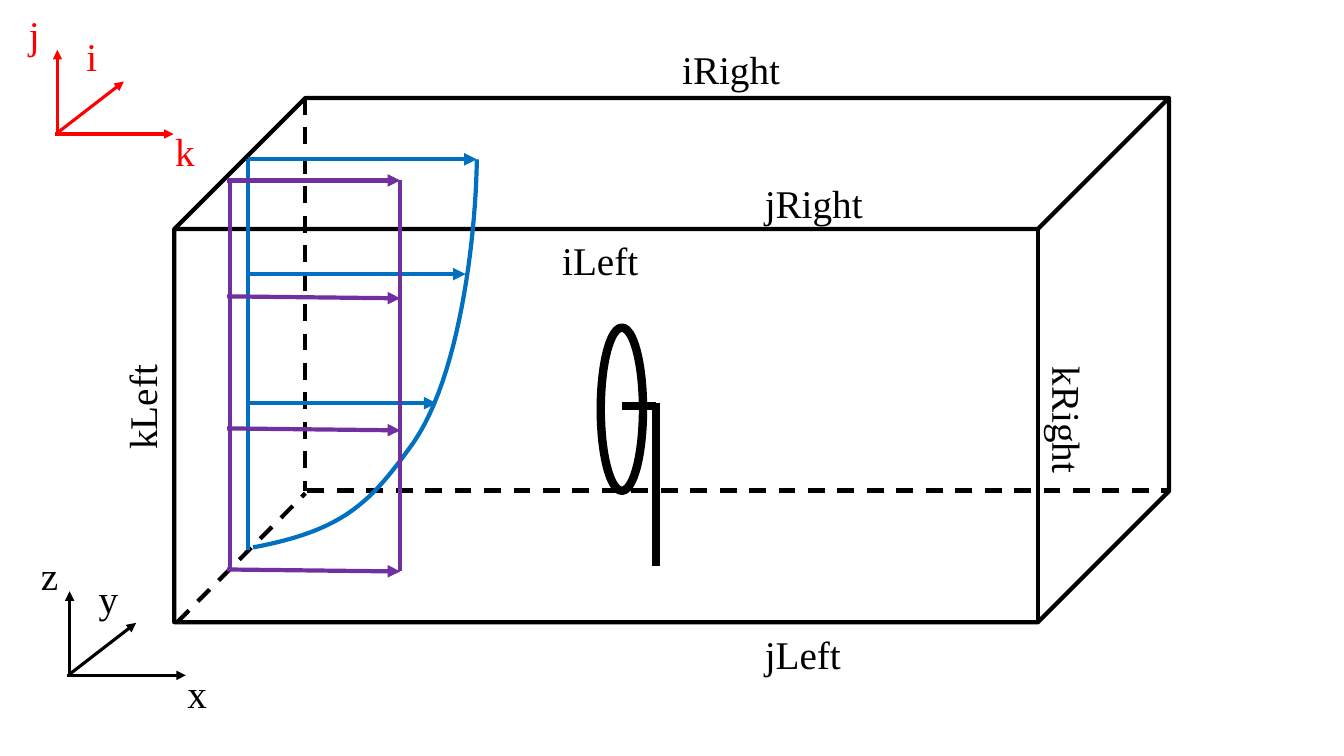
import pptx
import pptx.util
import pptx.dml.color
import pptx.enum.dml
import pptx.enum.shapes
import pptx.enum.text
import pptx.oxml
import pptx.oxml.ns

Pt = pptx.util.Pt
RGBColor = pptx.dml.color.RGBColor
MSO_SHAPE = pptx.enum.shapes.MSO_SHAPE

BLACK = RGBColor(0x00, 0x00, 0x00)
RED = RGBColor(0xFF, 0x00, 0x00)
BLUE = RGBColor(0x00, 0x70, 0xC0)
PURPLE = RGBColor(0x70, 0x30, 0xA0)
FONT = "Times New Roman"
LABEL_H = 41


def label(slide, text, x, y, w, color=BLACK, size=28, turn=0):
    box = slide.shapes.add_textbox(Pt(x), Pt(y), Pt(w), Pt(LABEL_H))
    box.rotation = turn
    frame = box.text_frame
    frame.word_wrap = False
    frame.auto_size = pptx.enum.text.MSO_AUTO_SIZE.SHAPE_TO_FIT_TEXT
    run = frame.paragraphs[0].add_run()
    run.text = text
    run.font.name = FONT
    run.font.size = Pt(size)
    run.font.color.rgb = color


def line(slide, x1, y1, x2, y2, color=BLACK, width=3, dash=False, arrow=False):
    link = slide.shapes.add_connector(
        pptx.enum.shapes.MSO_CONNECTOR.STRAIGHT, Pt(x1), Pt(y1), Pt(x2), Pt(y2))
    link.line.color.rgb = color
    link.line.width = Pt(width)
    if dash:
        link.line.dash_style = pptx.enum.dml.MSO_LINE.DASH
    if arrow:
        tail = pptx.oxml.parse_xml(
            f'<a:tailEnd {pptx.oxml.ns.nsdecls("a")} type="triangle"/>')
        link.line._get_or_add_ln().append(tail)
    link._element.spPr.append(
        pptx.oxml.parse_xml(f'<a:effectLst {pptx.oxml.ns.nsdecls("a")}/>'))


def outline(shape, width, color=BLACK):
    shape.shadow.inherit = False
    shape.fill.background()
    shape.line.color.rgb = color
    shape.line.width = Pt(width)


def bezier(a, b, c, d, steps=24):
    """Points along a cubic curve, after its start."""
    for i in range(1, steps + 1):
        t = i / steps
        s = 1 - t
        yield tuple(s**3 * p + 3 * s * s * t * q + 3 * s * t * t * r + t**3 * e
                    for p, q, r, e in zip(a, b, c, d))


def axes(slide, x, y, names, color):
    """Three arrows from the origin x, y; names are (text, width)."""
    for x1, y1, x2, y2 in ((0, 0, 0, -60), (-1.5, 0, 83, 0), (0, -0.8, 47.5, -37.5)):
        line(slide, x + x1, y + y1, x + x2, y + y2, color, 2.25, arrow=True)
    spots = (77, -8), (-27.5, -92), (13.7, -76)
    for (text, w), (dx, dy) in zip(names, spots):
        label(slide, text, x + dx, y + dy, w, color)


def domain(slide, x, y, w, h):
    """Box with hidden edges and face names."""
    outline(slide.shapes.add_shape(MSO_SHAPE.CUBE, Pt(x), Pt(y), Pt(w), Pt(h)), 3)
    depth = h / 4
    back, floor = x + depth, y + h - depth
    line(slide, back, y, back, floor, dash=True)
    line(slide, x + 2, y + h, back, floor + 1.5, dash=True)
    line(slide, back + 1.5, floor - 0.5, x + w, floor - 0.5, dash=True)
    for text, dx, dy, wide, turn in (
            ("kRight", 592.5, 210, 91.5, 90), ("kLeft", -61, 200, 75.5, 270),
            ("iLeft", 270, 95, 69, 0), ("iRight", 355.7, -41, 85, 0),
            ("jLeft", 414.7, 376.5, 69, 0), ("jRight", 414.7, 54.7, 85, 0)):
        label(slide, text, x + dx, y + dy, wide, turn=turn)


def turbine(slide, x, y, w, h):
    """Rotor in the given box, with hub and mast."""
    outline(slide.shapes.add_shape(MSO_SHAPE.OVAL, Pt(x), Pt(y), Pt(w), Pt(h)), 6)
    mast = x + w + 9.4
    line(slide, mast, y + 170.6, mast, y + 54, width=6)
    line(slide, mast, y + 56.2, x + w / 2, y + 56.2, width=6)


def shear(slide, x, y, w, h):
    """Curved inflow profile."""
    start, knee, top = (x + 3.6, y + 277.2), (x + 118.8, y + 201.5), (x + w, y)
    pen = slide.shapes.build_freeform(Pt(start[0]), Pt(start[1]), scale=1.0)
    curve = [*bezier(start, (x + 69, y + 265), (x + 88, y + 244.8), knee),
             *bezier(knee, (x + 150.5, y + 154.8), (x + 162.7, y + 59), top)]
    pen.add_line_segments([(Pt(a), Pt(b)) for a, b in curve], close=False)
    outline(pen.convert_to_shape(), 3, BLUE)
    line(slide, x, y + h, x, y, BLUE)
    for dy, reach in ((174.2, 134.7), (82, 155.5), (0, w)):
        line(slide, x, y + dy, x + reach, y + dy, BLUE, arrow=True)


def uniform(slide, x, y, w, h):
    """Straight inflow profile."""
    for dy, drop in ((0, 0), (82.8, 1.4), (177.1, 1.4), (277.9, 1.4)):
        line(slide, x, y + dy, x + w, y + dy + drop, PURPLE, arrow=True)
    for edge in (x + 2, x + w):
        line(slide, edge, y + h, edge, y, PURPLE)


def main():
    deck = pptx.Presentation()
    deck.slide_width, deck.slide_height = Pt(960), Pt(540)
    slide = deck.slides.add_slide(deck.slide_layouts[6])
    turbine(slide, 429.1, 234, 30.2, 116.6)
    domain(slide, 124.5, 70, 710.5, 374.5)
    axes(slide, 49.7, 482.4, (("x", 29), ("z", 27.5), ("y", 29)), BLACK)
    axes(slide, 41, 95.7, (("k", 29), ("j", 22.5), ("i", 22.5)), RED)
    shear(slide, 177.1, 113.8, 163.5, 279.3)
    uniform(slide, 162.2, 128.9, 123.7, 279)
    deck.save("out.pptx")


if __name__ == "__main__":
    main()
